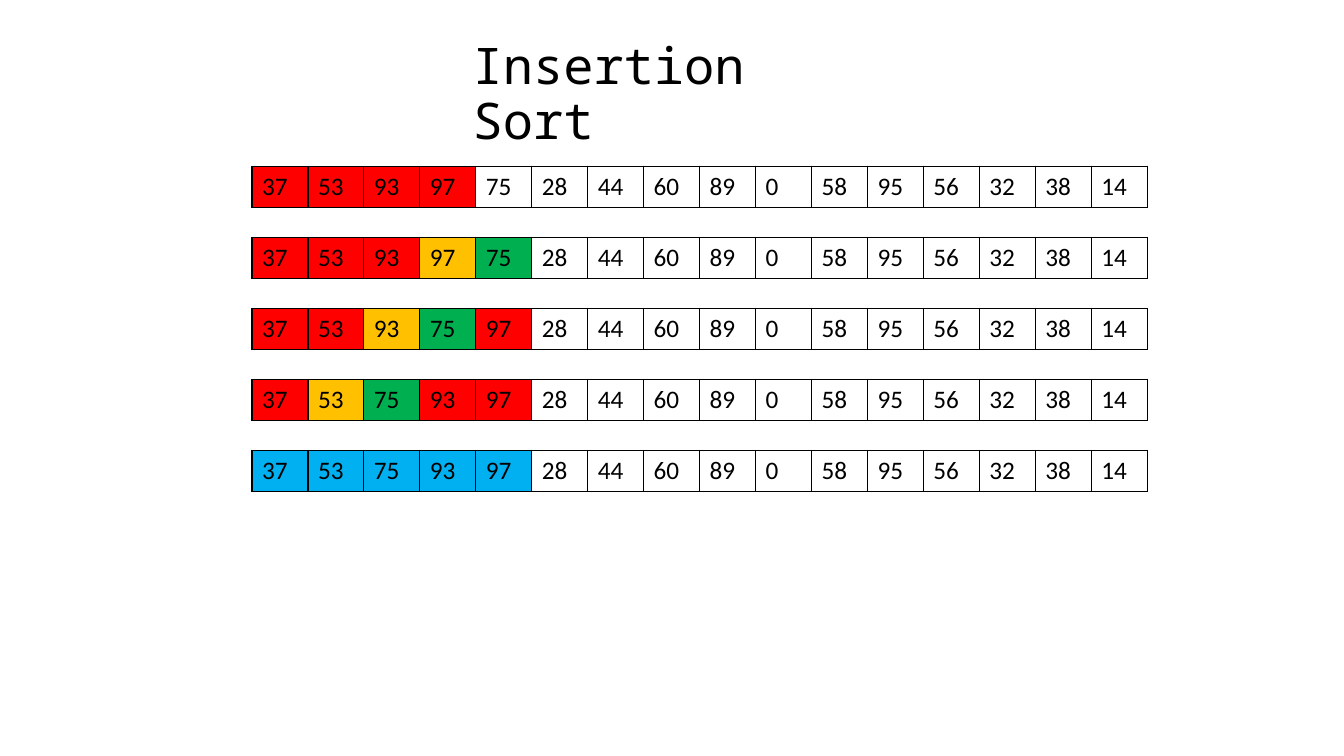
from lxml.etree import SubElement
from pptx import Presentation
from pptx.dml.color import RGBColor
from pptx.enum.text import MSO_AUTO_SIZE
from pptx.oxml.ns import qn
from pptx.util import Cm, Pt

RED, GOLD, GREEN, BLUE, WHITE = "FF0000", "FFC000", "00B050", "00B0F0", "FFFFFF"
BLACK = "000000"
LEFT, TOP, STEP = 6.35, 4.19, 1.79
WIDE, HIGH = 1.41, 1.03

REST = [28, 44, 60, 89, 0, 58, 95, 56, 32, 38, 14]
STEPS = [
    ([37, 53, 93, 97, 75], [RED, RED, RED, RED, WHITE]),
    ([37, 53, 93, 97, 75], [RED, RED, RED, GOLD, GREEN]),
    ([37, 53, 93, 75, 97], [RED, RED, GOLD, GREEN, RED]),
    ([37, 53, 75, 93, 97], [RED, GOLD, GREEN, RED, RED]),
    ([37, 53, 75, 93, 97], [BLUE] * 5),
]


def write(frame, text, **format):
    run = frame.paragraphs[0].add_run()
    run.text = text
    run.font.color.rgb = RGBColor.from_string(BLACK)
    for name, value in format.items():
        setattr(run.font, name, value)


def outline(cell):
    """Draw a thin black border on all four sides of a cell."""
    props = cell._tc.get_or_add_tcPr()
    for side in ("lnL", "lnR", "lnT", "lnB"):
        line = SubElement(props, qn(f"a:{side}"), w=str(Pt(1)))
        SubElement(SubElement(line, qn("a:solidFill")), qn("a:srgbClr"), val=BLACK)


deck = Presentation()
deck.slide_width, deck.slide_height = Cm(33.87), Cm(19.05)
slide = deck.slides.add_slide(deck.slide_layouts[6])

title = slide.shapes.add_textbox(Cm(11.66), Cm(0.91), Cm(10.52), Cm(1.8)).text_frame
title.word_wrap = True
title.auto_size = MSO_AUTO_SIZE.SHAPE_TO_FIT_TEXT
title.paragraphs[0].line_spacing = 0.9
write(title, "Insertion Sort", name="Noto Sans Mono", size=Pt(36))

for row, (sorted_part, fills) in enumerate(STEPS):
    values = sorted_part + REST
    count = len(values)
    table = slide.shapes.add_table(
        1, count, Cm(LEFT), Cm(TOP + row * STEP), Cm(WIDE * count), Cm(HIGH)
    ).table
    table.first_row = table.horz_banding = False
    for col, value in enumerate(values):
        table.columns[col].width = Cm(WIDE)
        cell = table.cell(0, col)
        outline(cell)
        if col < len(fills):
            cell.fill.solid()
            cell.fill.fore_color.rgb = RGBColor.from_string(fills[col])
        else:
            cell.fill.background()
        write(cell.text_frame, str(value), name="Calibri", size=Pt(18))

deck.save("out.pptx")
